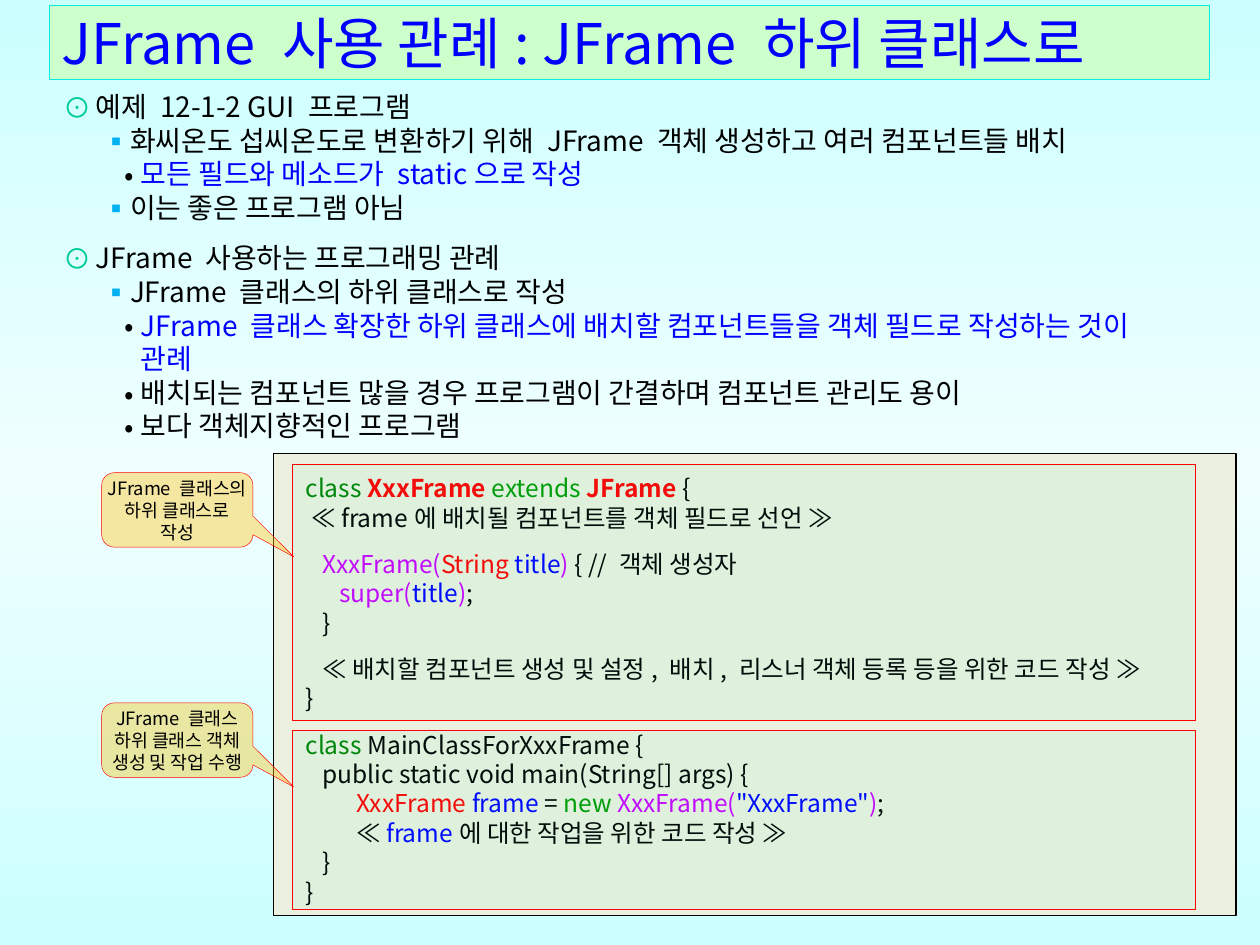
import copy
from dataclasses import dataclass

import pptx
import pptx.dml.color
import pptx.enum.shapes
import pptx.enum.text
import pptx.oxml
import pptx.oxml.ns
import pptx.util

Cm = pptx.util.Cm
Pt = pptx.util.Pt
qn = pptx.oxml.ns.qn
SHAPES = pptx.enum.shapes.MSO_SHAPE
ALIGN = pptx.enum.text.PP_ALIGN
ANCHOR = pptx.enum.text.MSO_ANCHOR


@dataclass(frozen=True)
class Theme:
    font: str = "Noto Sans CJK KR"
    title_size: float = 32
    list_size: float = 16
    code_size: float = 14
    callout_size: float = 10.5
    gap: float = 9.6
    sky: str = "CCFFFF"
    haze: str = "F0FFFF"
    title_fill: str = "CCFFCC"
    title_line: str = "03EDE2"
    panel: str = "EBF1DE"
    tint: str = "00FFCC"
    callout: str = "FFC000"
    black: str = "000000"
    blue: str = "0000FF"
    red: str = "FF0000"
    purple: str = "CC00FF"
    green: str = "009900"
    dark_green: str = "008000"
    teal: str = "00CC99"
    cyan: str = "00B0F0"


THEME = Theme()


@dataclass(frozen=True)
class Box:
    """A rectangle in centimetres."""
    left: float
    top: float
    width: float
    height: float

    def inner(self, left, top, width, height):
        return Box(self.left + left, self.top + top, width, height)

    def lengths(self):
        return [Cm(value) for value in (self.left, self.top, self.width, self.height)]


# level: (bullet, bullet colour, text position, hanging width)
BULLETS = [("⊙", THEME.teal, 0.69, 0.65),
           ("▪", THEME.cyan, 1.32, 0.5),
           ("•", None, 1.6, 0.33)]

LIST_ITEMS = [
    (0, "예제 12-1-2 GUI 프로그램", THEME.black),
    (1, "화씨온도 섭씨온도로 변환하기 위해 JFrame 객체 생성하고 여러 컴포넌트들 배치", THEME.black),
    (2, "모든 필드와 메소드가 static으로 작성", THEME.blue),
    (1, "이는 좋은 프로그램 아님", THEME.black),
    (0, "JFrame 사용하는 프로그래밍 관례", THEME.black),
    (1, "JFrame 클래스의 하위 클래스로 작성", THEME.black),
    (2, "JFrame 클래스 확장한 하위 클래스에 배치할 컴포넌트들을 객체 필드로 작성하는 것이\v관례", THEME.blue),
    (2, "배치되는 컴포넌트 많을 경우 프로그램이 간결하며 컴포넌트 관리도 용이", THEME.black),
    (2, "보다 객체지향적인 프로그램", THEME.black),
]

# (indent steps, gap above, spans of text and colour); red_bold marks class names
BOLD = "bold"
CODE_LINES = [
    (0, False, [("class ", THEME.dark_green), ("XxxFrame ", BOLD), ("extends ", THEME.green),
                ("JFrame ", BOLD), ("{", THEME.black)]),
    (0.33, False, [("≪ frame에 배치될 컴포넌트를 객체 필드로 선언 ≫", THEME.black)]),
    (1, True, [("XxxFrame(", THEME.purple), ("String ", THEME.red), ("title", THEME.blue),
               (") ", THEME.purple), ("{ // 객체 생성자", THEME.black)]),
    (2, False, [("super(", THEME.purple), ("title", THEME.blue), (")", THEME.purple),
                (";", THEME.black)]),
    (1, False, [("}", THEME.black)]),
    (1, True, [("≪ 배치할 컴포넌트 생성 및 설정, 배치, 리스너 객체 등록 등을 위한 코드 작성 ≫", THEME.black)]),
    (0, False, [("}", THEME.black)]),
    (0, True, [("class ", THEME.dark_green), ("MainClassForXxxFrame {", THEME.black)]),
    (1, False, [("public static void main(String[] args) {", THEME.black)]),
    (3, False, [("XxxFrame ", THEME.red), ("frame", THEME.blue), (" = ", THEME.black),
                ("new ", THEME.green), ("XxxFrame(", THEME.purple), ('"XxxFrame"', THEME.blue),
                (")", THEME.purple), (";", THEME.black)]),
    (3, False, [("≪ ", THEME.black), ("frame", THEME.blue), ("에 대한 작업을 위한 코드 작성 ≫", THEME.black)]),
    (1, False, [("}", THEME.black)]),
    (0, False, [("}", THEME.black)]),
]


def rgb(color):
    return pptx.dml.color.RGBColor.from_string(color)


def style_span(span, size, color, bold=False):
    span.font.size = Pt(size)
    span.font.bold = bold
    span.font.name = THEME.font
    span.font.color.rgb = rgb(color)
    east_asian = pptx.oxml.parse_xml(
        f'<a:ea {pptx.oxml.ns.nsdecls("a")} typeface="{THEME.font}"/>')
    span.font._element.find(qn("a:latin")).addnext(east_asian)


def style_para(para, size, color, align=ALIGN.LEFT, space_before=0):
    para.alignment = align
    para.space_before = Pt(space_before)
    para.space_after = Pt(0)
    for span in para.runs:
        style_span(span, size, color)


def set_frame(frame, anchor, side=0.25, top=0.13):
    frame.word_wrap = True
    frame.auto_size = pptx.enum.text.MSO_AUTO_SIZE.NONE
    frame.vertical_anchor = anchor
    frame.margin_left = frame.margin_right = Cm(side)
    frame.margin_top = frame.margin_bottom = Cm(top)


def indent_para(para, left, hanging=0):
    properties = para._p.get_or_add_pPr()
    properties.set("marL", str(Cm(left)))
    properties.set("indent", str(-Cm(hanging)))
    return properties


def paint(shape, fill, line, width, opacity=None):
    shape.fill.solid()
    shape.fill.fore_color.rgb = rgb(fill)
    shape.line.color.rgb = rgb(line)
    shape.line.width = Pt(width)
    if opacity is not None:
        color = shape.fill._xPr.find(qn("a:solidFill"))[0]
        color.append(pptx.oxml.parse_xml(
            f'<a:alpha {pptx.oxml.ns.nsdecls("a")} val="{opacity * 1000}"/>'))


def add_painted(page, kind, box, *look):
    shape = page.shapes.add_shape(kind, *box.lengths())
    shape.shadow.inherit = False
    paint(shape, *look)
    return shape


def paint_background(page):
    fill = page.background.fill
    fill.gradient()
    fill.gradient_angle = 270
    stops = next(page.element.iter(qn("a:gsLst")))
    stops.append(copy.deepcopy(stops[0]))
    for stop, position, color in zip(fill.gradient_stops, (0, 0.5, 1),
                                     (THEME.sky, THEME.haze, THEME.sky)):
        stop.position = position
        stop.color.rgb = rgb(color)


def place(shape, box):
    shape.left, shape.top, shape.width, shape.height = box.lengths()


def place_title(page, box, text):
    title = page.shapes.title
    place(title, box)
    paint(title, THEME.title_fill, THEME.title_line, 0.25)
    set_frame(title.text_frame, ANCHOR.MIDDLE)
    title.text_frame.text = text
    style_para(title.text_frame.paragraphs[0], THEME.title_size, THEME.blue)


def place_list(page, box):
    body = page.placeholders[1]
    place(body, box)
    set_frame(body.text_frame, ANCHOR.TOP)
    body.text_frame.text = "\n".join(text for _, text, _ in LIST_ITEMS)
    for index, (para, (level, _, color)) in enumerate(zip(body.text_frame.paragraphs, LIST_ITEMS)):
        para.level = level
        gap = THEME.gap if level == 0 and index else 0
        style_para(para, THEME.list_size, color, space_before=gap)
        bullet, bullet_color, left, hanging = BULLETS[level]
        properties = indent_para(para, left, hanging)
        names = pptx.oxml.ns.nsdecls("a")
        properties.append(pptx.oxml.parse_xml(
            f'<a:buClr {names}><a:srgbClr val="{bullet_color or THEME.black}"/></a:buClr>'))
        properties.append(pptx.oxml.parse_xml(f'<a:buFont {names} typeface="{THEME.font}"/>'))
        properties.append(pptx.oxml.parse_xml(f'<a:buChar {names} char="{bullet}"/>'))


def place_code(page, box):
    panel = add_painted(page, SHAPES.RECTANGLE, box, THEME.panel, THEME.black, 0.75)
    frame = panel.text_frame
    set_frame(frame, ANCHOR.TOP, top=0.4)
    for index, (steps, gap, spans) in enumerate(CODE_LINES):
        para = frame.add_paragraph() if index else frame.paragraphs[0]
        style_para(para, THEME.code_size, THEME.black, space_before=THEME.gap if gap else 0)
        indent_para(para, 0.4 + 0.34 * steps)
        for text, color in spans:
            span = para.add_run()
            span.text = text
            bold = color == BOLD
            style_span(span, THEME.code_size, THEME.red if bold else color, bold)


def place_outlined_part(page, box, callout_top, text):
    """Outline one class of the code and point a callout at its left side."""
    add_painted(page, SHAPES.RECTANGLE, box, THEME.tint, THEME.red, 0.25, 5)
    callout = add_painted(page, SHAPES.ROUNDED_RECTANGULAR_CALLOUT,
                          box.inner(-3.84, callout_top, 3.05, 1.5),
                          THEME.callout, THEME.red, 0.25, 37)
    for index, value in enumerate((0.77, 0.63, 0.17)):
        callout.adjustments[index] = value
    set_frame(callout.text_frame, ANCHOR.MIDDLE, side=0, top=0)
    callout.text_frame.text = text
    for para in callout.text_frame.paragraphs:
        style_para(para, THEME.callout_size, THEME.black, ALIGN.CENTER)


def main():
    deck = pptx.Presentation()
    deck.slide_width, deck.slide_height = Cm(25.4), Cm(19.05)
    page = deck.slides.add_slide(deck.slide_layouts[1])
    paint_background(page)
    place_title(page, Box(0.99, 0.1, 23.39, 1.5), "JFrame 사용 관례: JFrame 하위 클래스로")
    place_list(page, Box(0.99, 1.68, 24.1, 7.44))
    panel = Box(5.51, 9.14, 19.41, 9.32)
    place_code(page, panel)
    place_outlined_part(page, panel.inner(0.38, 0.21, 18.2, 5.18), 0.18,
                        "JFrame 클래스의 하위 클래스로\n작성")
    place_outlined_part(page, panel.inner(0.38, 5.59, 18.2, 3.61), -0.56,
                        "JFrame 클래스 하위 클래스 객체 생성 및 작업 수행")
    deck.save("out.pptx")


if __name__ == "__main__":
    main()
